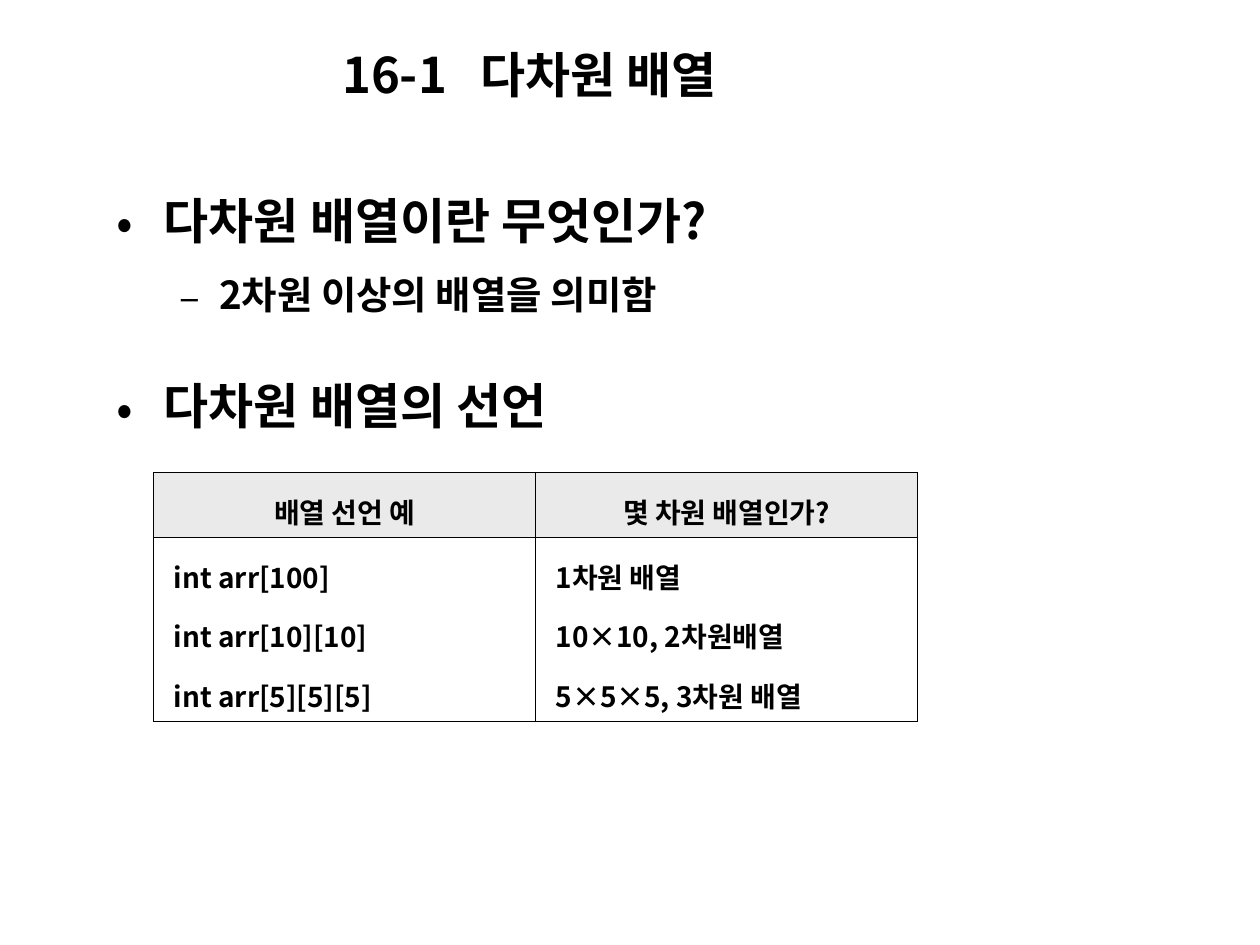
import pptx
import pptx.util
import pptx.dml.color
import pptx.enum.text
import pptx.oxml.ns
from lxml import etree

Pt = pptx.util.Pt
ALIGN = pptx.enum.text.PP_ALIGN
ANCHOR = pptx.enum.text.MSO_ANCHOR
FONT = "Noto Sans CJK KR"
COLORS = {"ink": "000000", "header": "EAEAEA"}
OUTER, INNER = 0.75, 0.45

TITLE = "16-1\t다차원 배열"
# text, size, bullet, left margin, hanging indent, space before
TOPICS = [
    ("다차원 배열이란 무엇인가?", 28, "•", 27, 27, 0),
    ("2차원 이상의 배열을 의미함", 22, "–", 58.5, 22.5, 5),
    ("다차원 배열의 선언", 28, "•", 27, 27, 23),
]
HEADINGS = ["배열 선언 예", "몇 차원 배열인가?"]
DECLARATIONS = [
    ["int arr[100]", "int arr[10][10]", "int arr[5][5][5]"],
    ["1차원 배열", "10×10, 2차원배열", "5×5×5, 3차원 배열"],
]


def rgb(name):
    return pptx.dml.color.RGBColor.from_string(COLORS[name])


def child(parent, tag, **attributes):
    return etree.SubElement(parent, pptx.oxml.ns.qn(tag), attributes)


def apply(target, **formats):
    for name, value in formats.items():
        setattr(target, name, value)


def write(paragraph, text, size, **formats):
    """Add one bold unkerned run, with the same face for Latin and Korean."""
    apply(paragraph, **formats)
    run = paragraph.add_run()
    run.text = text
    apply(run.font, size=Pt(size), bold=True, name=FONT)
    run.font.color.rgb = rgb("ink")
    run.font._element.set("kern", "0")
    child(run.font._element, "a:ea", typeface=FONT)


def add_text_frame(slide, box, anchor):
    frame = slide.shapes.add_textbox(*map(Pt, box)).text_frame
    apply(frame, word_wrap=True, vertical_anchor=anchor)
    return frame


def add_title(slide, box):
    heading = add_text_frame(slide, box, ANCHOR.MIDDLE).paragraphs[0]
    stops = child(heading._p.get_or_add_pPr(), "a:tabLst")
    child(stops, "a:tab", pos=str(Pt(79)), algn="l")
    write(heading, TITLE, 28)


def add_topics(slide, box):
    frame = add_text_frame(slide, box, ANCHOR.TOP)
    for index, (text, size, bullet, margin, hang, gap) in enumerate(TOPICS):
        topic = frame.add_paragraph() if index else frame.paragraphs[0]
        properties = topic._p.get_or_add_pPr()
        properties.set("marL", str(Pt(margin)))
        properties.set("indent", str(-Pt(hang)))
        child(child(properties, "a:buClr"), "a:srgbClr", val=COLORS["ink"])
        child(properties, "a:buFont", typeface=FONT)
        child(properties, "a:buChar", char=bullet)
        write(topic, text, size, line_spacing=1.3, space_before=Pt(gap))


def set_borders(cell, row, column):
    """Outer edges are heavier than the inner rules of the 2 by 2 grid."""
    edges = {"L": column == 0, "R": column == 1, "T": row == 0, "B": row == 1}
    properties = cell._tc.get_or_add_tcPr()
    for position, (side, is_outer) in enumerate(edges.items()):
        width = Pt(OUTER if is_outer else INNER)
        line = child(properties, f"a:ln{side}", w=str(width))
        child(child(line, "a:solidFill"), "a:srgbClr", val=COLORS["ink"])
        properties.insert(position, line)


def fill_cell(cell, lines, alignment):
    apply(cell, vertical_anchor=ANCHOR.MIDDLE,
          margin_left=Pt(11.5), margin_right=Pt(11.5),
          margin_top=Pt(3.6), margin_bottom=Pt(3.6))
    frame = cell.text_frame
    for index, text in enumerate(lines):
        line = frame.add_paragraph() if index else frame.paragraphs[0]
        write(line, text, 16, alignment=alignment, line_spacing=1.3,
              space_before=Pt(4 if index else 0))


def add_declaration_table(slide, box):
    left, top, width, height = box
    header_height = 37.2
    table = slide.shapes.add_table(2, 2, *map(Pt, box)).table
    apply(table, first_row=False, horz_banding=False)
    for row, row_height in zip(table.rows, (header_height, height - header_height)):
        row.height = Pt(row_height)
    for column, (heading, lines) in enumerate(zip(HEADINGS, DECLARATIONS)):
        table.columns[column].width = Pt(width / 2)
        header, body = table.cell(0, column), table.cell(1, column)
        fill_cell(header, [heading], ALIGN.CENTER)
        fill_cell(body, lines, ALIGN.LEFT)
        header.fill.solid()
        header.fill.fore_color.rgb = rgb("header")
        body.fill.background()
        for row, cell in enumerate((header, body)):
            set_borders(cell, row, column)


def main():
    deck = pptx.Presentation()
    apply(deck, slide_width=Pt(720), slide_height=Pt(540))
    slide = deck.slides.add_slide(deck.slide_layouts[6])
    add_title(slide, (188.5, 21.5, 253.5, 41))
    add_topics(slide, (59.6, 95, 648, 160))
    add_declaration_table(slide, (87.9, 270, 436.4, 142.3))
    deck.save("out.pptx")


if __name__ == "__main__":
    main()
